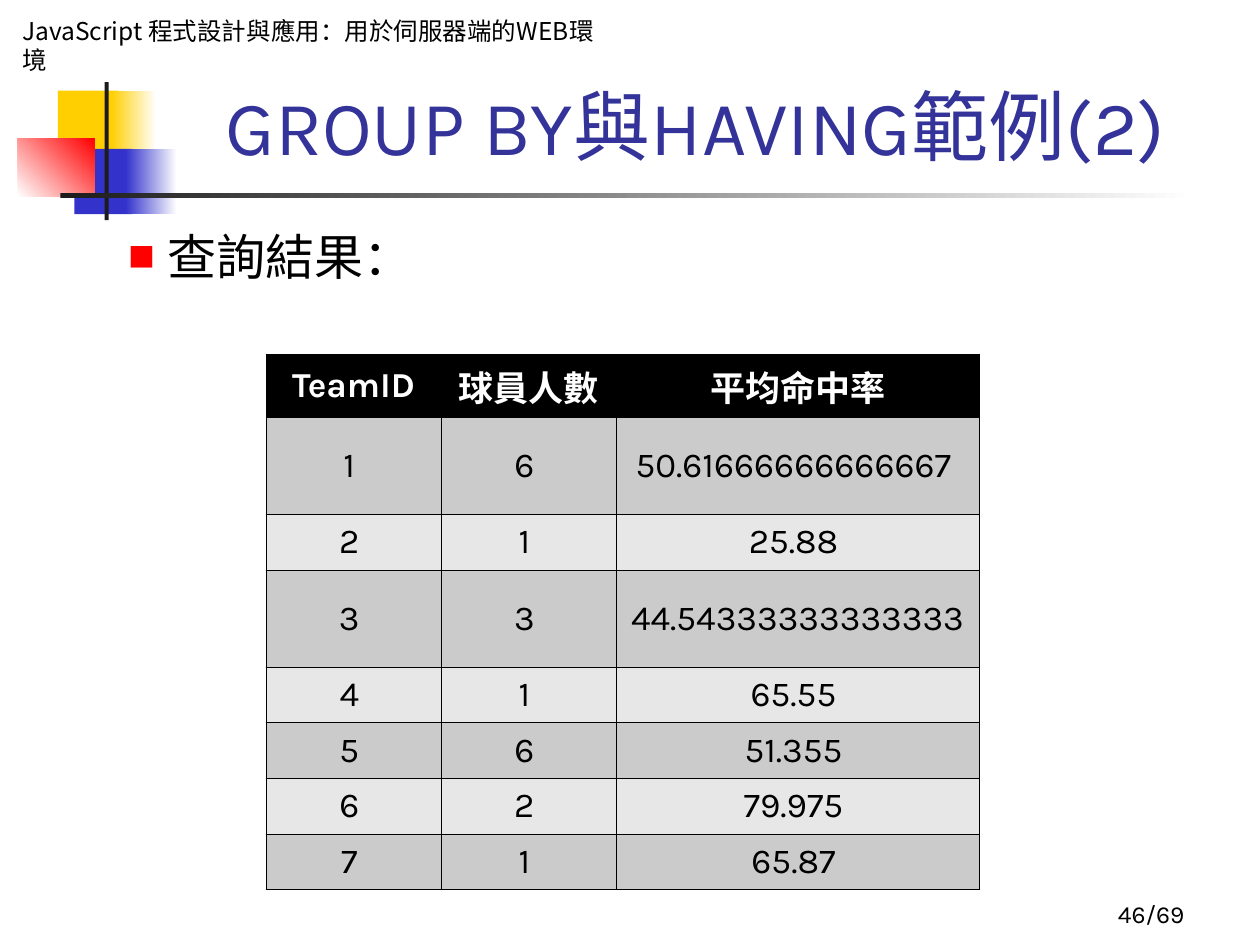
from dataclasses import dataclass
from typing import Optional

from lxml.etree import SubElement
from pptx import Presentation
from pptx.dml.color import RGBColor
from pptx.enum.shapes import MSO_SHAPE
from pptx.enum.text import MSO_ANCHOR, PP_ALIGN
from pptx.oxml.ns import qn
from pptx.util import Cm, Pt

BLACK = RGBColor(0x00, 0x00, 0x00)
WHITE = RGBColor(0xFF, 0xFF, 0xFF)
YELLOW = RGBColor(0xFF, 0xCF, 0x01)
BLUE = RGBColor(0x33, 0x33, 0xCC)
RED = RGBColor(0xFF, 0x00, 0x00)
CHARCOAL = RGBColor(0x1C, 0x1C, 0x1C)
TITLE_BLUE = RGBColor(0x33, 0x33, 0x99)
DARK_BAND = RGBColor(0xCB, 0xCB, 0xCB)
LIGHT_BAND = RGBColor(0xE7, 0xE7, 0xE7)

LATIN = "Karla"
CJK = "Noto Sans CJK SC"


@dataclass(frozen=True)
class Box:
    left: float
    top: float
    width: float
    height: float

    def lengths(self) -> tuple:
        return Cm(self.left), Cm(self.top), Cm(self.width), Cm(self.height)


@dataclass(frozen=True)
class Block:
    box: Box
    start: RGBColor
    end: Optional[RGBColor] = None
    angle: float = 0


@dataclass(frozen=True)
class Label:
    text: str
    box: Box
    size: float
    color: RGBColor = BLACK
    align: PP_ALIGN = PP_ALIGN.LEFT
    anchor: MSO_ANCHOR = MSO_ANCHOR.TOP
    font: str = LATIN


BLOCKS = [
    Block(Box(1.17, 1.83, 1.22, 1.32), YELLOW),
    Block(Box(2.24, 1.83, 0.91, 1.32), YELLOW, WHITE),
    Block(Box(1.5, 3, 1.17, 1.32), BLUE),
    Block(Box(2.54, 3, 1.02, 1.32), BLUE, WHITE),
    Block(Box(0.36, 2.79, 1.55, 1.17), WHITE, RED, 45),
    Block(Box(2.11, 1.52, 0.08, 2.92), CHARCOAL),
    Block(Box(1.22, 3.89, 22.86, 0.1), CHARCOAL, WHITE),
]

COURSE = Label("JavaScript 程式設計與應用：用於伺服器端的WEB環境",
               Box(0.2, 0.2, 12.5, 1.45), 14, font=CJK)
TITLE = Label("GROUP BY與HAVING範例(2)", Box(3.2, 1.47, 21.64, 2.11), 44,
              TITLE_BLUE, PP_ALIGN.CENTER, MSO_ANCHOR.BOTTOM)
RESULT = Label("查詢結果：", Box(1.07, 4.44, 23.83, 12.9), 28)
PAGE = Label("46/69", Box(18.85, 17.58, 5.28, 1.27), 14,
             align=PP_ALIGN.RIGHT, anchor=MSO_ANCHOR.BOTTOM)

HEADINGS = ("TeamID", "球員人數", "平均命中率")
TEAMS = [
    ("1 ", "6 ", "50.61666666666667 "),
    ("2 ", "1 ", "25.88 "),
    ("3 ", "3 ", "44.54333333333333 "),
    ("4 ", "1 ", "65.55 "),
    ("5 ", "6 ", "51.355 "),
    ("6 ", "2 ", "79.975 "),
    ("7 ", "1 ", "65.87 "),
]
COLUMN_WIDTHS = (3.53, 3.53, 7.32)
ROW_HEIGHTS = (1.27, 1.96, 1.12, 1.96, 1.12, 1.12, 1.12, 1.12)


def style_text(paragraph, size: float, color: RGBColor, font: str = LATIN,
               bold: bool = False) -> None:
    for run in paragraph.runs:
        run.font.size = Pt(size)
        run.font.bold = bold
        run.font.name = font
        run.font.color.rgb = color
        SubElement(run.font._element, qn("a:ea"), typeface=CJK)


def draw_block(slide, block: Block) -> None:
    shape = slide.shapes.add_shape(MSO_SHAPE.RECTANGLE, *block.box.lengths())
    shape.shadow.inherit = False
    shape.line.fill.background()
    if block.end is None:
        shape.fill.solid()
        shape.fill.fore_color.rgb = block.start
        return
    shape.fill.gradient()
    shape.fill.gradient_angle = block.angle
    for stop, color in zip(shape.fill.gradient_stops, (block.start, block.end)):
        stop.color.rgb = color


def draw_label(slide, label: Label):
    textbox = slide.shapes.add_textbox(*label.box.lengths())
    frame = textbox.text_frame
    frame.word_wrap = True
    frame.vertical_anchor = label.anchor
    frame.text = label.text
    paragraph = frame.paragraphs[0]
    paragraph.alignment = label.align
    style_text(paragraph, label.size, label.color, label.font)
    return textbox


def add_bullet(paragraph) -> None:
    properties = paragraph._p.get_or_add_pPr()
    properties.set("marL", str(Cm(2.06)))
    properties.set("indent", str(Cm(-0.79)))
    color = SubElement(properties, qn("a:buClr"))
    SubElement(color, qn("a:srgbClr"), val=str(RED))
    SubElement(properties, qn("a:buSzPct"), val="55000")
    SubElement(properties, qn("a:buFont"), typeface=CJK)
    SubElement(properties, qn("a:buChar"), char="■")


def add_borders(cell) -> None:
    properties = cell._tc.get_or_add_tcPr()
    for side in ("lnL", "lnR", "lnT", "lnB"):
        line = SubElement(properties, qn(f"a:{side}"), w=str(Pt(0.45)))
        fill = SubElement(line, qn("a:solidFill"))
        SubElement(fill, qn("a:srgbClr"), val=str(BLACK))


def draw_cell(cell, text: str, fill: RGBColor, color: RGBColor, bold: bool) -> None:
    add_borders(cell)
    cell.fill.solid()
    cell.fill.fore_color.rgb = fill
    cell.vertical_anchor = MSO_ANCHOR.MIDDLE
    cell.text_frame.text = text
    paragraph = cell.text_frame.paragraphs[0]
    paragraph.alignment = PP_ALIGN.CENTER
    style_text(paragraph, 20, color, bold=bold)


def draw_results(slide) -> None:
    box = Box(5.36, 7.14, sum(COLUMN_WIDTHS), sum(ROW_HEIGHTS))
    table = slide.shapes.add_table(
        len(ROW_HEIGHTS), len(COLUMN_WIDTHS), *box.lengths()).table
    for column, width in zip(table.columns, COLUMN_WIDTHS):
        column.width = Cm(width)
    for row, height in zip(table.rows, ROW_HEIGHTS):
        row.height = Cm(height)
    for index, values in enumerate([HEADINGS, *TEAMS]):
        heading = index == 0
        band = DARK_BAND if index % 2 else LIGHT_BAND
        for cell, value in zip(table.rows[index].cells, values):
            draw_cell(cell, value, BLACK if heading else band,
                      WHITE if heading else BLACK, heading)


def main() -> None:
    presentation = Presentation()
    presentation.slide_width = Cm(25.4)
    presentation.slide_height = Cm(19.05)
    slide = presentation.slides.add_slide(presentation.slide_layouts[6])
    for block in BLOCKS:
        draw_block(slide, block)
    course = draw_label(slide, COURSE)
    course.fill.solid()
    course.fill.fore_color.rgb = WHITE
    draw_label(slide, TITLE)
    result = draw_label(slide, RESULT)
    add_bullet(result.text_frame.paragraphs[0])
    draw_results(slide)
    draw_label(slide, PAGE)
    presentation.save("out.pptx")


if __name__ == "__main__":
    main()
